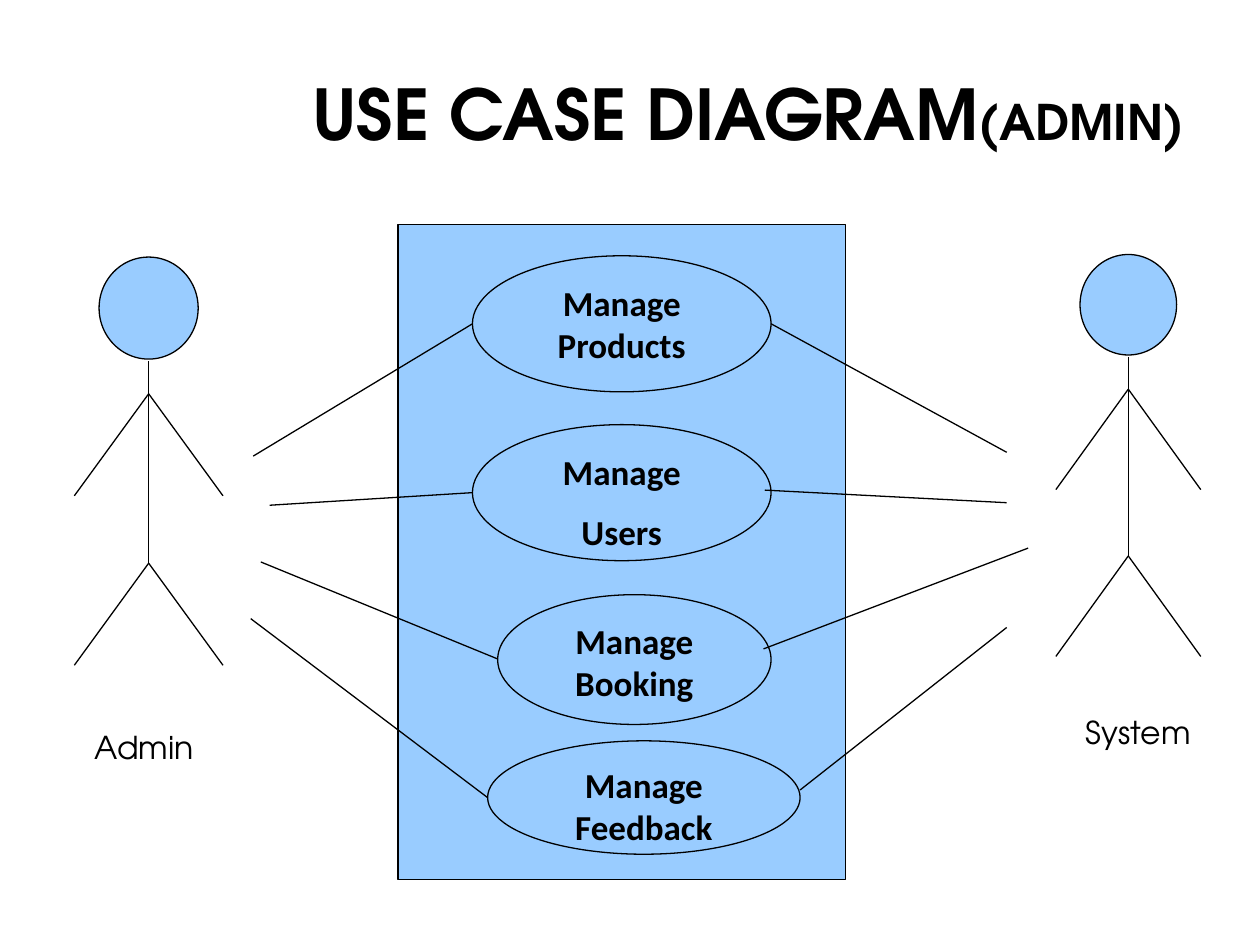
from lxml.etree import SubElement
from pptx import Presentation
from pptx.dml.color import RGBColor
from pptx.enum.shapes import MSO_CONNECTOR, MSO_SHAPE
from pptx.enum.text import MSO_ANCHOR, PP_ALIGN
from pptx.oxml.ns import qn
from pptx.util import Inches, Pt

COL = Inches(10) // 10
ROW = Inches(7.5) * 2 // 15
INK, SKY = "000000", "99CCFF"
HEAD = {"name": "TeX Gyre Adventor", "size": Pt(40), "bold": True}
SUB = HEAD | {"size": Pt(28)}
NAME = {"name": "TeX Gyre Adventor", "size": Pt(18), "bold": False}
CASE = {"name": "Calibri", "size": Pt(20), "bold": True}


def hue(code):
    return RGBColor.from_string(code)


def grid(*vals):
    return [round(v * (ROW if i % 2 else COL)) for i, v in enumerate(vals)]


def apply(item, form):
    for key, val in form.items():
        setattr(item, key, val)


def write(para, text, form):
    run = para.add_run()
    run.text = text
    apply(run.font, form)
    run.font.color.rgb = hue(INK)


def edge(line):
    line.color.rgb = hue(INK)
    line.width = Pt(0.75)


def link(slide, start, end):
    wire = slide.shapes.add_connector(
        MSO_CONNECTOR.STRAIGHT, *grid(*start), *grid(*end))
    edge(wire.line)
    SubElement(wire._element.spPr, qn("a:effectLst"))


def form(slide, kind, box):
    shape = slide.shapes.add_shape(kind, *grid(*box))
    shape.shadow.inherit = False
    shape.fill.solid()
    shape.fill.fore_color.rgb = hue(SKY)
    edge(shape.line)
    return shape


def title(slide, box):
    shape = slide.shapes.title
    apply(shape, dict(zip(("left", "top", "width", "height"), grid(*box))))
    apply(shape.text_frame, {"word_wrap": True, "vertical_anchor": MSO_ANCHOR.MIDDLE})
    para = shape.text_frame.paragraphs[0]
    apply(para, {"alignment": PP_ALIGN.RIGHT, "line_spacing": 0.9})
    write(para, "USE CASE DIAGRAM", HEAD)
    write(para, "(ADMIN)", SUB)


def actor(slide, box):
    left, top, wide, high = box

    def spot(x, y):
        return left + x * wide, top + y * high

    form(slide, MSO_SHAPE.OVAL, (*spot(1 / 6, 0), wide * 2 / 3, high / 4))
    neck, hip = spot(0.5, 0.335), spot(0.5, 0.75)
    link(slide, spot(0.5, 0.255), hip)
    for side in (0, 1):
        link(slide, neck, spot(side, 0.585))
        link(slide, hip, spot(side, 1))


def label(slide, box, text):
    frame = slide.shapes.add_textbox(*grid(*box)).text_frame
    frame.word_wrap = True
    para = frame.paragraphs[0]
    para.alignment = PP_ALIGN.CENTER
    write(para, text, NAME)


def case(slide, box, lines):
    frame = form(slide, MSO_SHAPE.OVAL, box).text_frame
    apply(frame, {"word_wrap": True, "vertical_anchor": MSO_ANCHOR.TOP})
    for i, text in enumerate(lines):
        para = frame.add_paragraph() if i else frame.paragraphs[0]
        apply(para, {"alignment": PP_ALIGN.CENTER, "space_after": Pt(10)})
        write(para, text, CASE)


def system(slide, box, cases):
    form(slide, MSO_SHAPE.RECTANGLE, box)
    left, top = box[:2]
    for (x, y, wide, high), lines in cases:
        case(slide, (left + x, top + y, wide, high), lines)


def main():
    deck = Presentation()
    apply(deck, {"slide_width": COL * 10, "slide_height": round(ROW * 7.5)})
    slide = deck.slides.add_slide(deck.slide_layouts[5])
    title(slide, (0.5, 0.39, 9, 1.09))
    system(slide, (3.16, 1.78, 3.55, 5.2), [
        ((0.59, 0.25, 2.37, 1.08), ["Manage Products"]),
        ((0.59, 1.59, 2.37, 1.08), ["Manage", "Users"]),
        ((0.79, 2.94, 2.17, 1.03), ["Manage Booking"]),
        ((0.71, 4.1, 2.48, 0.9), ["Manage Feedback"]),
    ])
    for box, spot, name in (
        ((0.59, 2.04, 1.18, 3.24), (0.42, 5.73, 1.45, 0.4), "Admin"),
        ((8.38, 2.02, 1.15, 3.19), (8.27, 5.61, 1.53, 0.44), "System"),
    ):
        actor(slide, box)
        label(slide, spot, name)
    for start, end in (
        ((2.01, 3.62), (3.75, 2.57)), ((2.14, 4.01), (3.75, 3.91)),
        ((2.07, 4.46), (3.95, 5.23)), ((1.99, 4.91), (3.87, 6.33)),
        ((6.12, 2.57), (7.99, 3.59)), ((6.07, 3.89), (7.99, 3.99)),
        ((6.06, 5.15), (8.16, 4.35)), ((6.35, 6.27), (7.99, 4.98)),
    ):
        link(slide, start, end)
    deck.save("out.pptx")


if __name__ == "__main__":
    main()
